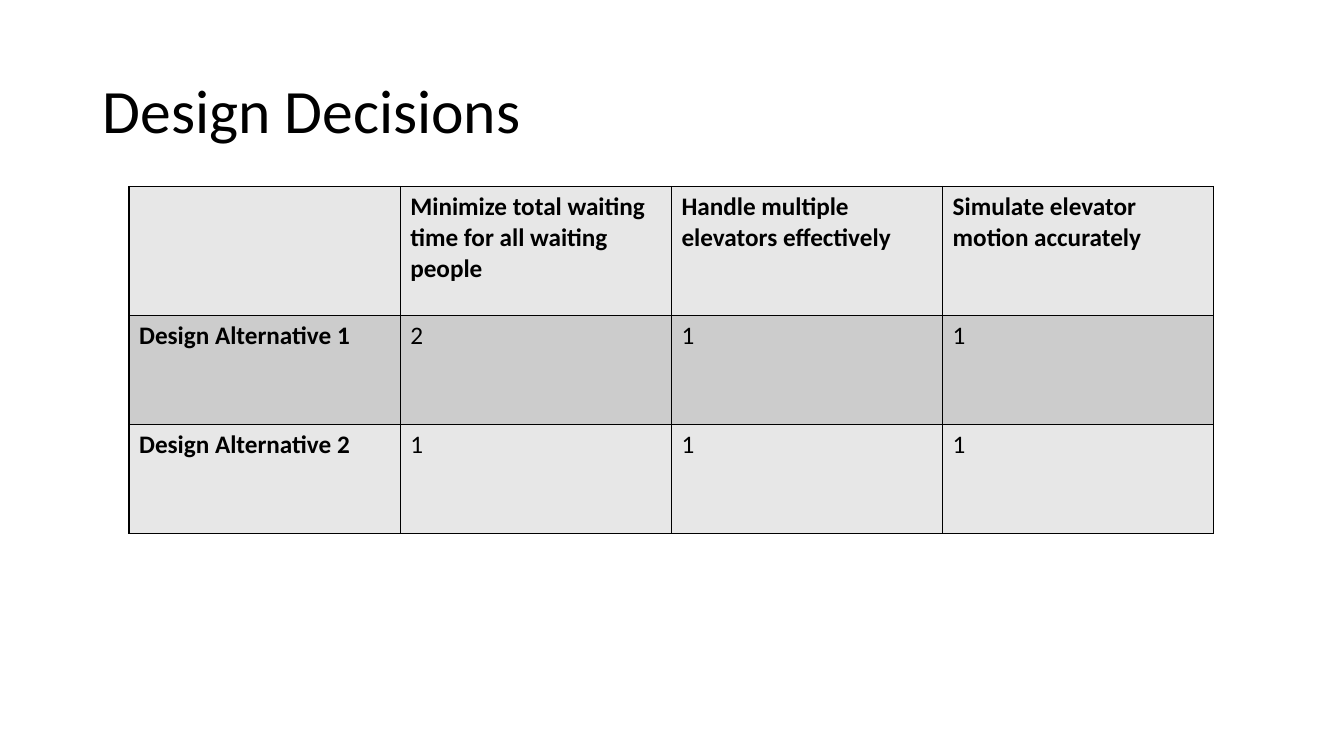
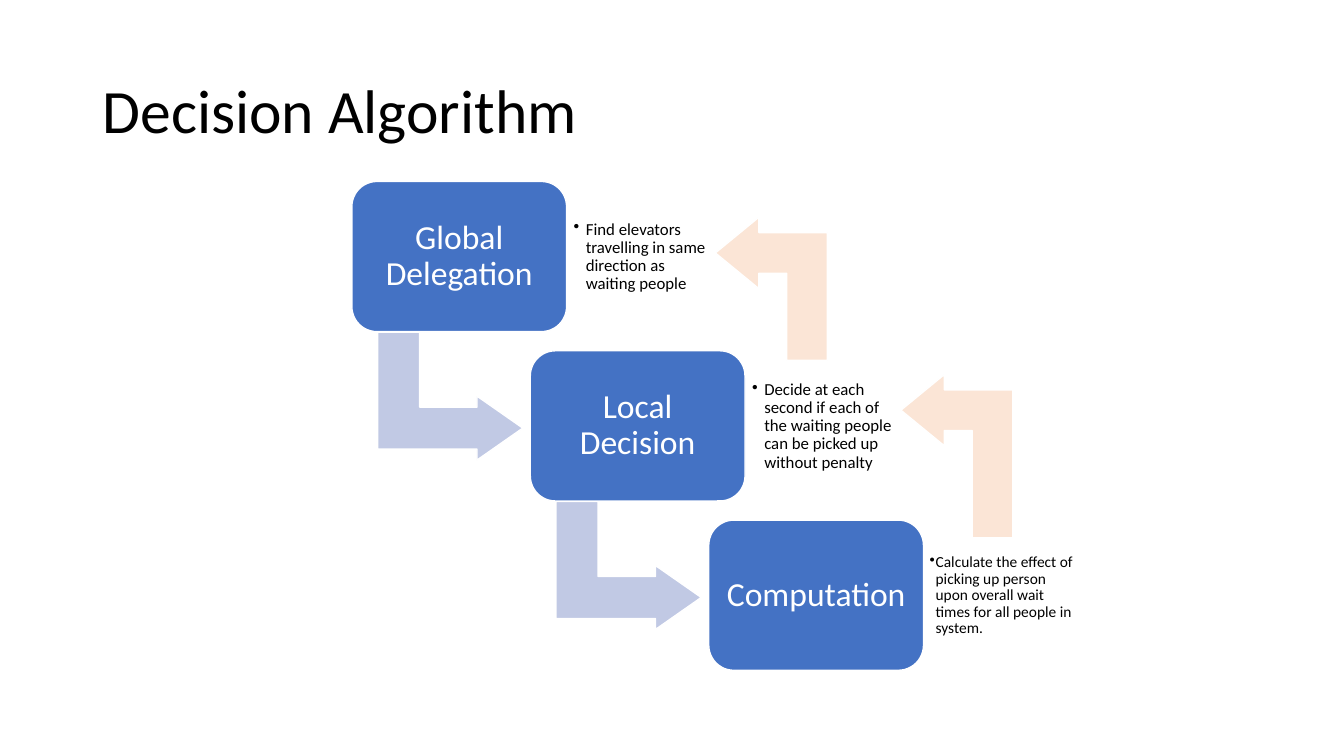
from lxml import etree
from pptx import Presentation
from pptx import util as u
from pptx.dml.color import RGBColor
from pptx.enum import shapes, text
from pptx.oxml import ns

COLOURS = {
    "text": "000000",
    "white": "FFFFFF",
    "band_light": "E7E7E7",
    "band_dark": "CCCCCC",
    "box": "4472C4",
    "down_arrow": "C1C9E4",
    "back_arrow": "FBE5D6",
}
FONT = "Calibri"


def write(frame, content, size=18, colour="text", bold=False, align="LEFT",
          spacing=0.9, margin=None, bullet_indent=None):
    """Fill a text frame, or a table cell's frame, with one paragraph."""
    frame.word_wrap = True
    if margin is not None:
        frame.margin_left = frame.margin_right = u.Inches(margin)
        frame.margin_top = frame.margin_bottom = u.Inches(margin)
    paragraph = frame.paragraphs[0]
    paragraph.alignment = text.PP_ALIGN[align]
    paragraph.line_spacing = spacing
    run = paragraph.add_run()
    run.text = content
    run.font.name = FONT
    run.font.size = u.Pt(size)
    run.font.bold = bold
    run.font.color.rgb = RGBColor.from_string(COLOURS[colour])
    if bullet_indent:
        properties = paragraph._p.get_or_add_pPr()
        properties.set("marL", str(u.Inches(bullet_indent)))
        properties.set("indent", str(-u.Inches(bullet_indent)))
        etree.SubElement(properties, ns.qn("a:buChar"), char="•")


def add_block(slide, preset, place, colour, adjustments, rotation=0):
    """Add a filled preset shape with a thin white outline."""
    shape = slide.shapes.add_shape(preset, *map(u.Inches, place))
    shape.shadow.inherit = False
    shape.rotation = rotation
    shape.fill.solid()
    shape.fill.fore_color.rgb = RGBColor.from_string(COLOURS[colour])
    shape.line.color.rgb = RGBColor.from_string(COLOURS["white"])
    shape.line.width = u.Pt(1)
    for index, value in enumerate(adjustments):
        shape.adjustments[index] = value
    return shape


presentation = Presentation()
presentation.slide_width = u.Inches(13.33)
presentation.slide_height = u.Inches(7.5)

slides = []
for title in ("Design Decisions", "Decision Algorithm"):
    slide = presentation.slides.add_slide(presentation.slide_layouts[6])
    title_box = slide.shapes.add_textbox(
        u.Inches(0.92), u.Inches(0.4), u.Inches(11.5), u.Inches(1.45))
    title_box.text_frame.vertical_anchor = text.MSO_ANCHOR.MIDDLE
    write(title_box.text_frame, title, size=44)
    slides.append(slide)
decisions_slide, algorithm_slide = slides

# Design Decisions: alternatives scored against the goals
ROWS = [
    ["", "Minimize total waiting time for all waiting people",
     "Handle multiple elevators effectively",
     "Simulate elevator motion accurately"],
    ["Design Alternative 1", "2", "1", "1"],
    ["Design Alternative 2", "1", "1", "1"],
]
ROW_HEIGHTS = [1.28, 1.08, 1.08]
table = decisions_slide.shapes.add_table(
    len(ROWS), len(ROWS[0]), u.Inches(1.28), u.Inches(1.85),
    u.Inches(10.76), u.Inches(sum(ROW_HEIGHTS))).table
table.first_row = table.horz_banding = False

for row_index, (row, height) in enumerate(zip(ROWS, ROW_HEIGHTS)):
    table.rows[row_index].height = u.Inches(height)
    band = "band_dark" if row_index % 2 else "band_light"
    for column_index, content in enumerate(row):
        cell = table.cell(row_index, column_index)
        cell.fill.solid()
        cell.fill.fore_color.rgb = RGBColor.from_string(COLOURS[band])
        write(cell.text_frame, content, spacing=1.0,
              bold=row_index == 0 or column_index == 0)
        cell_properties = cell._tc.get_or_add_tcPr()
        for position, side in enumerate(("lnL", "lnR", "lnT", "lnB")):
            border = etree.Element(ns.qn("a:" + side), w=str(u.Pt(1)))
            fill = etree.SubElement(border, ns.qn("a:solidFill"))
            etree.SubElement(fill, ns.qn("a:srgbClr"), val=COLOURS["text"])
            cell_properties.insert(position, border)

# Decision Algorithm: steps going down, feedback arrows going back up
STEPS = [
    ("Global Delegation",
     "Find elevators travelling in same direction as waiting people",
     {"size": 12, "margin": 0.07, "bullet_indent": 0.12}),
    ("Local Decision",
     "Decide at each second if each of the waiting people can be picked up "
     "without penalty",
     {"size": 12, "margin": 0.07, "bullet_indent": 0.12}),
    ("Computation",
     "Calculate the effect of picking up person upon overall wait times for "
     "all people in system.",
     {"size": 11, "margin": 0.06, "bullet_indent": 0.06}),
]
BOX_WIDTH, BOX_HEIGHT = 2.13, 1.49
BENT_ARROW = shapes.MSO_SHAPE.BENT_UP_ARROW

for index, (name, detail, detail_format) in enumerate(STEPS):
    left = 3.49 + 1.77 * index
    top = 1.8 + 1.68 * index
    if index < len(STEPS) - 1:
        add_block(algorithm_slide, BENT_ARROW,
                  (left + 0.34, top + 1.41, 1.27, 1.44),
                  "down_arrow", (0.328, 0.25, 0.358), rotation=90)
    box = add_block(algorithm_slide, shapes.MSO_SHAPE.ROUNDED_RECTANGLE,
                    (left, top, BOX_WIDTH, BOX_HEIGHT), "box", (0.167,))
    box.text_frame.vertical_anchor = text.MSO_ANCHOR.MIDDLE
    write(box.text_frame, name, size=24, colour="white", align="CENTER",
          margin=0.1)
    detail_box = algorithm_slide.shapes.add_textbox(
        u.Inches(left + BOX_WIDTH), u.Inches(top + 0.15),
        u.Inches(1.55), u.Inches(1.2))
    detail_box.text_frame.vertical_anchor = text.MSO_ANCHOR.MIDDLE
    write(detail_box.text_frame, detail, **detail_format)

for place in ((6.94, 2.31, 1.42, 1.11), (8.68, 3.97, 1.62, 1.11)):
    add_block(algorithm_slide, BENT_ARROW, place, "back_arrow",
              (0.363, 0.319, 0.389), rotation=270)

presentation.save("out.pptx")
